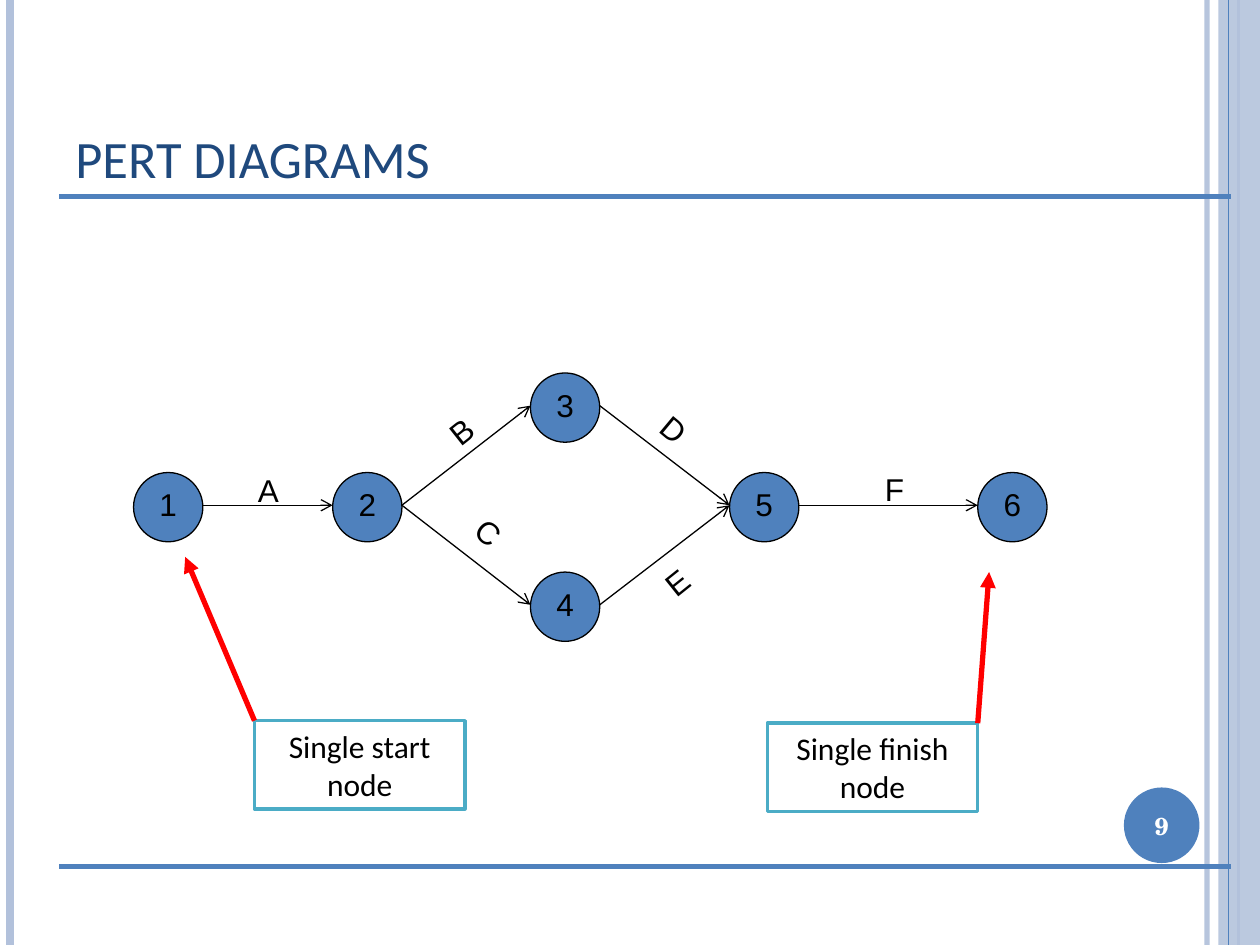
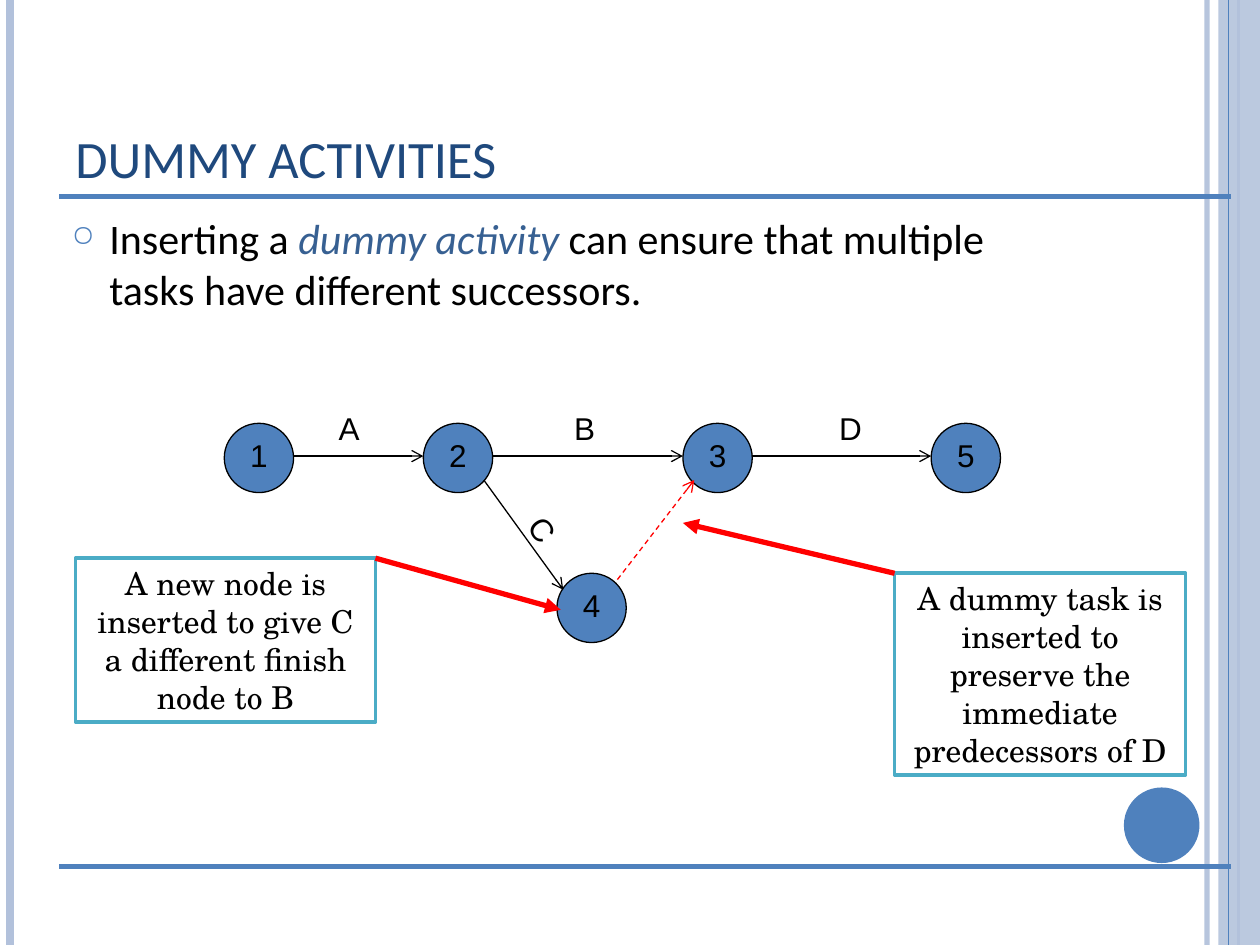
from lxml import etree
from pptx import Presentation
from pptx.dml.color import RGBColor
from pptx.enum import dml, shapes, text
from pptx.oxml.ns import qn
from pptx.util import Inches, Pt

COLOURS = {
    "blue": "4F81BD", "pale": "B2C1DB", "navy": "1F497D", "accent": "376092",
    "teal": "4BACC6", "red": "FF0000", "black": "000000", "white": "FFFFFF",
}
RGB = {name: RGBColor.from_string(value) for name, value in COLOURS.items()}
SERIF = "TeX Gyre Schola"
NODE = 0.55
PORT = 0.26  # height below a node's top at which activities join it

SLIDES = [
    {
        "title": "PERT DIAGRAMS",
        "number": "9",
        "nodes": {"1": (1.06, 3.75), "2": (2.64, 3.75), "3": (4.21, 2.96),
                  "4": (4.21, 4.54), "5": (5.79, 3.75), "6": (7.76, 3.75)},
        "activities": ["12", "23", "24", "35", "45", "56"],
        "diagonals": [],
        # letter, centre x, centre y, rotation
        "labels": [("A", 2.13, 3.89, 0), ("F", 7.1, 3.88, 0), ("B", 3.66, 3.42, -38.4),
                   ("C", 3.88, 4.22, 39.8), ("D", 5.35, 3.41, 39.8), ("E", 5.37, 4.62, -38.7)],
        "callout_font": "Calibri",
        "callouts": [
            ("Single start\nnode", (2.02, 5.72, 1.67, 0.7), (2.02, 5.72), (1.47, 4.42)),
            ("Single finish\nnode", (6.09, 5.74, 1.67, 0.7), (7.76, 5.74), (7.85, 4.54)),
        ],
    },
    {
        "title": "DUMMY ACTIVITIES",
        "number": "",
        "nodes": {"1": (1.78, 3.36), "2": (3.36, 3.36), "3": (5.42, 3.36),
                  "5": (7.39, 3.36), "4": (4.42, 4.55)},
        "activities": ["12", "23", "35"],
        "diagonals": [((3.84, 3.81), (4.47, 4.68), "black", None),
                      ((4.9, 4.6), (5.51, 3.81), "red", dml.MSO_LINE.DASH)],
        "labels": [("A", 2.77, 3.4, 0), ("B", 4.64, 3.4, 0), ("D", 6.75, 3.4, 0),
                   ("C", 4.31, 4.2, 54.2)],
        "callout_font": SERIF,
        "callouts": [
            ("A dummy task is inserted to preserve the immediate predecessors of D",
             (7.1, 4.55, 2.31, 1.6), (7.1, 4.55), (5.42, 4.15)),
            ("A new node is inserted to give C a different finish node to B",
             (0.6, 4.43, 2.38, 1.3), (2.98, 4.43), (4.45, 4.84)),
        ],
    },
]


def add_line(page, start, end, colour, width, head=None, dash=None):
    line = page.shapes.add_connector(
        shapes.MSO_CONNECTOR.STRAIGHT, *map(Inches, start + end))
    line.line.color.rgb = RGB[colour]
    line.line.width = Pt(width)
    if dash:
        line.line.dash_style = dash
    if head:
        etree.SubElement(line.line._get_or_add_ln(), qn("a:tailEnd"), type=head)
    etree.SubElement(line._element.spPr, qn("a:effectLst"))
    return line


def add_box(page, at, content="", size=18, font="Arial", colour="black", shape=None,
            fill=None, outline=None, width=0.75, align=text.PP_ALIGN.CENTER,
            anchor=text.MSO_ANCHOR.MIDDLE):
    """Add a text box, or a preset shape when shape is given."""
    at = [Inches(length) for length in at]
    if shape:
        box = page.shapes.add_shape(shape, *at)
        box.shadow.inherit = False
        box.fill.solid()
        box.fill.fore_color.rgb = RGB[fill]
        if outline:
            box.line.color.rgb = RGB[outline]
            box.line.width = Pt(width)
        else:
            box.line.fill.background()
    else:
        box = page.shapes.add_textbox(*at)
    frame = box.text_frame
    frame.word_wrap = True
    frame.vertical_anchor = anchor
    frame.text = content
    for para in frame.paragraphs:
        para.alignment = align
        para.font.size = Pt(size)
        para.font.name = font
        para.font.color.rgb = RGB[colour]
    return box


deck = Presentation()
deck.slide_width, deck.slide_height = Inches(10), Inches(7.5)
OVAL, RECTANGLE = shapes.MSO_SHAPE.OVAL, shapes.MSO_SHAPE.RECTANGLE

for content in SLIDES:
    page = deck.slides.add_slide(deck.slide_layouts[6])

    # Side bands, rules, page badge and title
    side_band = add_box(page, (9.67, 0, 0.33, 7.5), shape=RECTANGLE, fill="pale")
    side_lines = [add_line(page, (x, 0), (x, 7.5), colour, width) for x, colour, width in
                  [(9.58, "pale", 3), (0.08, "pale", 4.5), (9.83, "pale", 1.5),
                   (9.75, "blue", 0.75)]]
    for item, alpha in [(side_band, 87000), (side_lines[0], 93000)]:
        tint = next(item._element.spPr.iter(qn("a:srgbClr")))
        etree.SubElement(tint, qn("a:alpha"), val=str(alpha))
    for y in (1.56, 6.88):
        add_line(page, (0.47, y), (9.77, y), "blue", 2.75)
    badge = add_box(page, (8.92, 6.25, 0.6, 0.6), content["number"], 14, SERIF, "white",
                    shape=OVAL, fill="blue")
    badge.text_frame.paragraphs[0].font.bold = True
    add_box(page, (0.5, 0.3, 8.17, 1.25), content["title"], 30, "Calibri", "navy",
            align=text.PP_ALIGN.LEFT, anchor=text.MSO_ANCHOR.BOTTOM)

    # Network
    nodes = content["nodes"]
    for number, (left, top) in nodes.items():
        node = add_box(page, (left, top, NODE, NODE), number, shape=OVAL,
                       fill="blue", outline="black")
        frame = node.text_frame
        frame.margin_left = frame.margin_right = frame.margin_top = 0
        frame.margin_bottom = Inches(0.05)
    for source, target in content["activities"]:
        (left, top), (end_x, end_y) = nodes[source], nodes[target]
        add_line(page, (left + NODE, top + PORT), (end_x, end_y + PORT),
                 "black", 0.75, "arrow")
    for start, end, colour, dash in content["diagonals"]:
        add_line(page, start, end, colour, 0.75, "arrow", dash)
    for letter, x, y, rotation in content["labels"]:
        label = add_box(page, (x - 0.19, y - 0.2, 0.38, 0.4), letter)
        label.text_frame.word_wrap = False
        label.rotation = rotation

    # Callouts
    for words, at, start, end in content["callouts"]:
        add_box(page, at, words, font=content["callout_font"], shape=RECTANGLE, fill="white",
                outline="teal", width=2, anchor=text.MSO_ANCHOR.TOP)
        add_line(page, start, end, "red", 3, "triangle")

# Bullet on the dummy activities slide
body = add_box(page, (0.47, 1.64, 8.17, 1.17), anchor=text.MSO_ANCHOR.TOP)
para = body.text_frame.paragraphs[0]
para.alignment = text.PP_ALIGN.LEFT
properties = para._p.get_or_add_pPr()
properties.set("marL", str(Inches(0.3)))
properties.set("indent", str(-Inches(0.3)))
bullet_colour = etree.Element(qn("a:buClr"))
etree.SubElement(bullet_colour, qn("a:srgbClr"), val=COLOURS["blue"])
bullet_size = etree.Element(qn("a:buSzPct"), val="70000")
bullet_mark = etree.Element(qn("a:buChar"), char="○")
for position, element in enumerate([bullet_colour, bullet_size, bullet_mark]):
    properties.insert(position, element)
para.font.size = Pt(24)
para.font.name = "Calibri"
for words, emphasis in [("Inserting a ", False), ("dummy activity ", True),
                        ("can ensure that multiple tasks have different successors.", False)]:
    span = para.add_run()
    span.text = words
    if emphasis:
        span.font.italic = True
        span.font.color.rgb = RGB["accent"]

deck.save("out.pptx")
